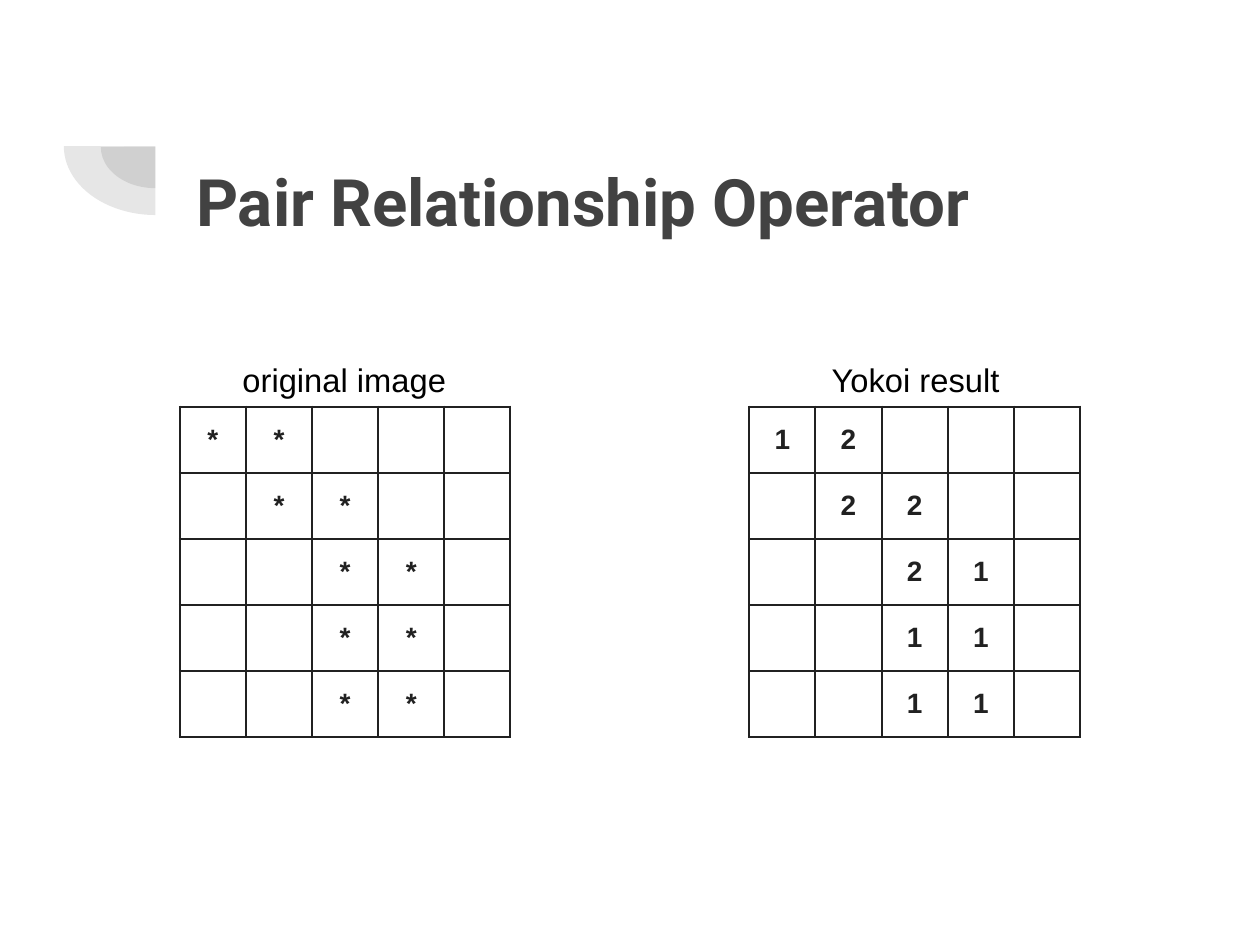
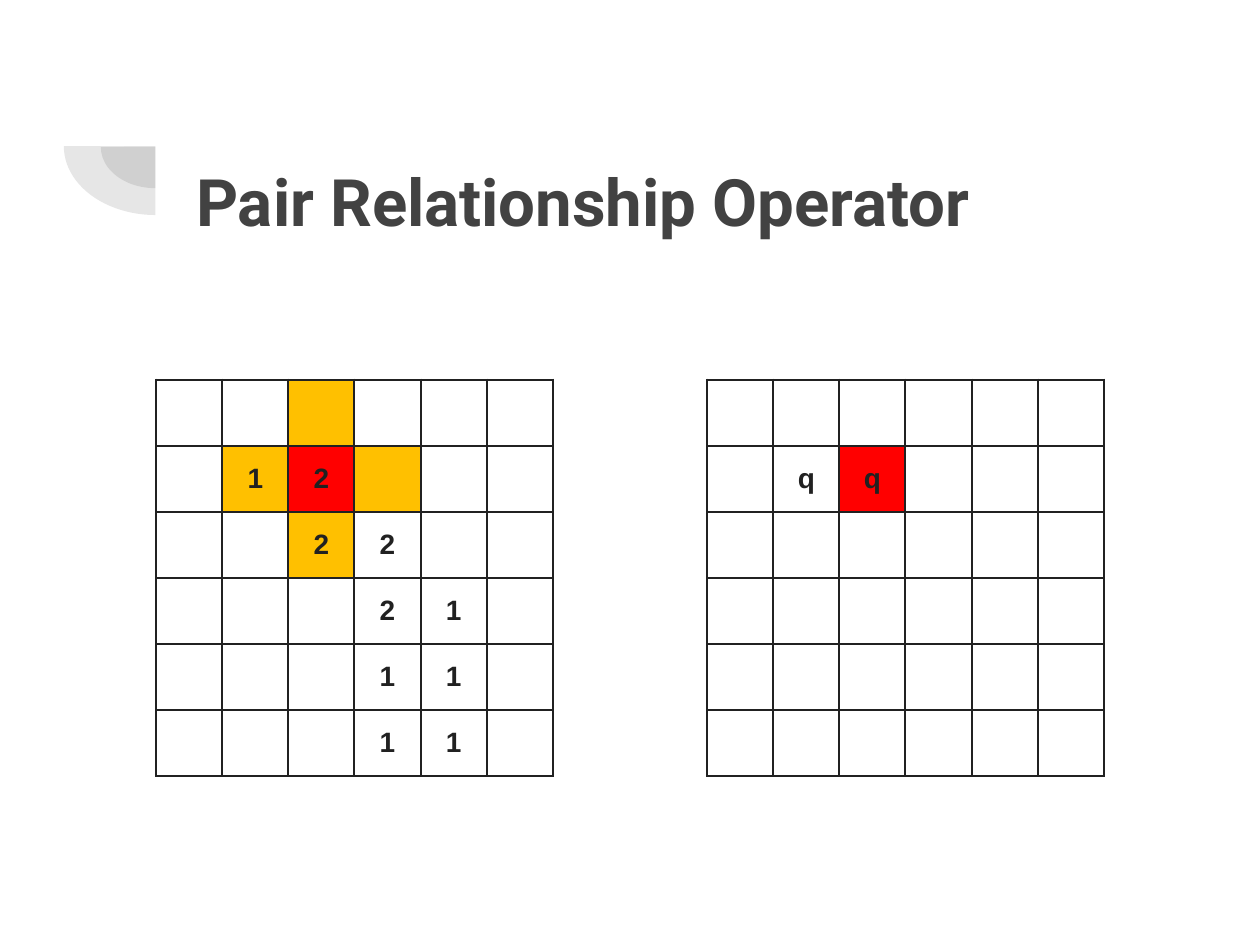
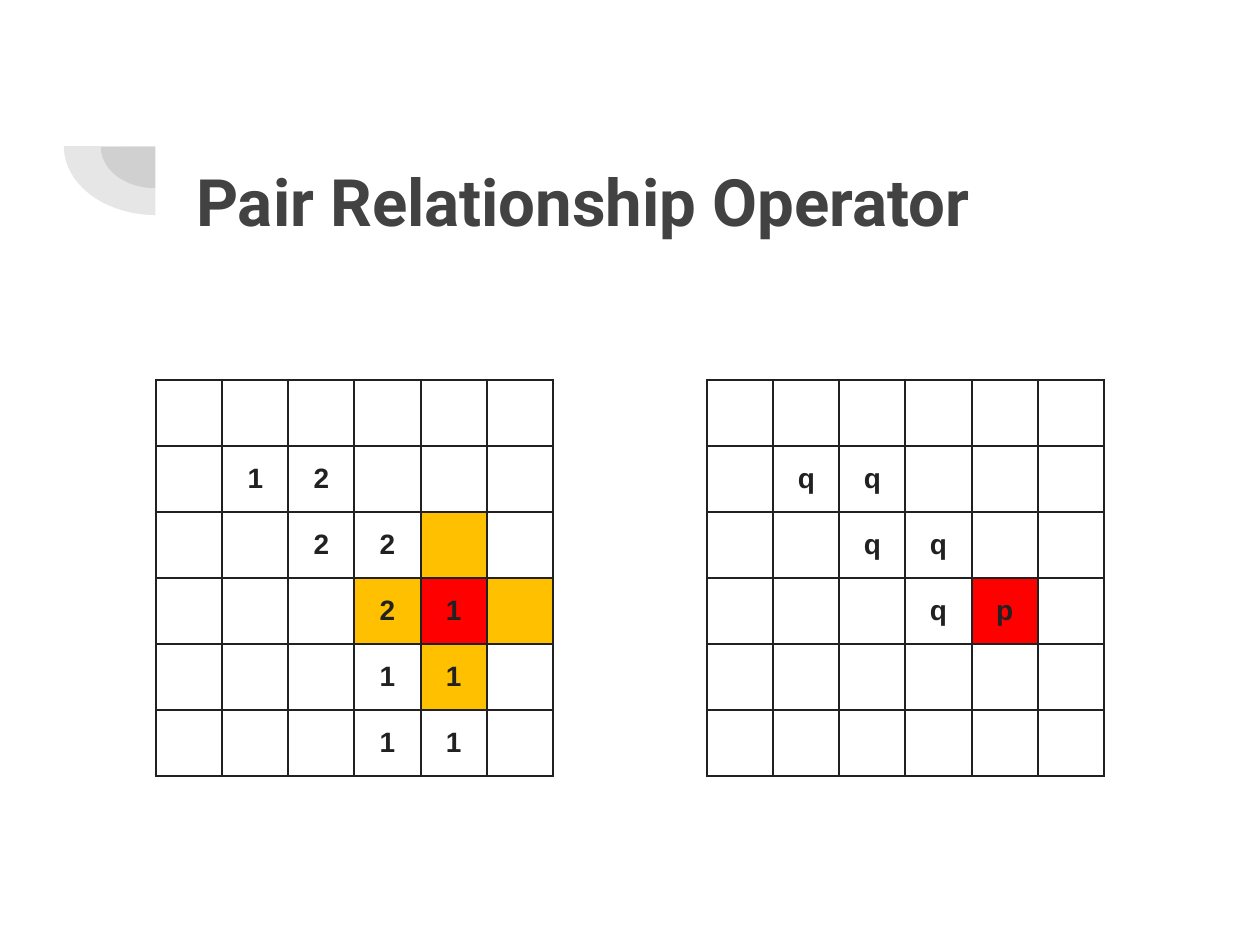
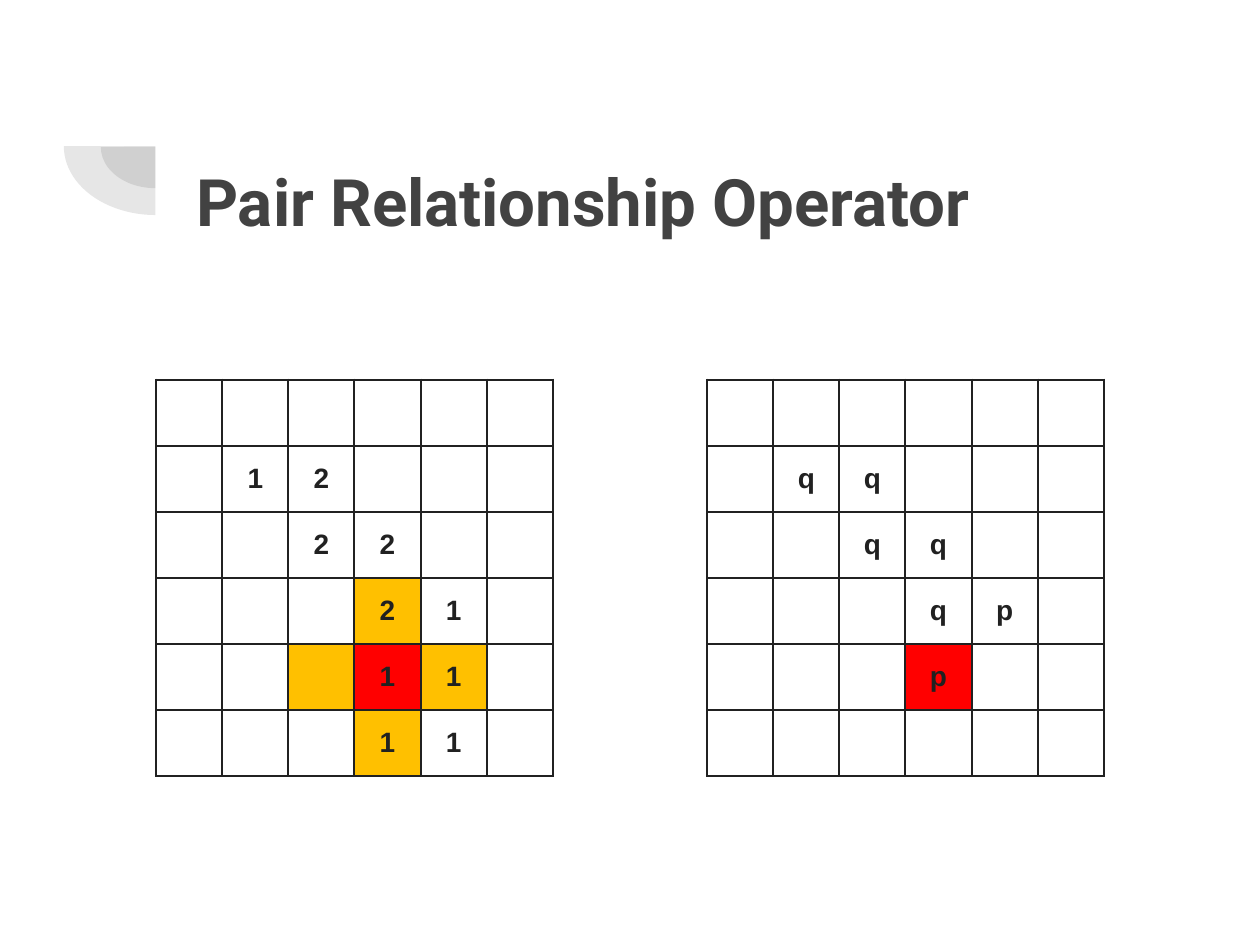
from dataclasses import dataclass

from lxml.etree import SubElement
from pptx import Presentation
from pptx.dml.color import RGBColor
from pptx.enum.shapes import MSO_SHAPE
from pptx.enum.text import MSO_ANCHOR, PP_ALIGN
from pptx.oxml import parse_xml
from pptx.oxml.ns import nsdecls, qn
from pptx.util import Inches, Pt

COLORS = {
    "title": "424242",
    "ink": "212121",
    "caption": "000000",
    "paper": "FFFFFF",
    "neighbor": "FFC000",
    "focus": "FF0000",
}
SLIDE_WIDTH = 7.5
SLIDE_HEIGHT = SLIDE_WIDTH * 3 / 4
TITLE = "Pair Relationship Operator"
ORIGINAL = ("**   ", " **  ", "  ** ", "  ** ", "  ** ")
YOKOI = ("12   ", " 22  ", "  21 ", "  11 ", "  11 ")
PAIRS = ("qq   ", " qq  ", "  qp ", "  p  ", "     ")
SCAN_STEPS = ((1, 2), (3, 4), (4, 3))


@dataclass(frozen=True)
class Box:
    left: float
    top: float
    width: float
    height: float

    def lengths(self) -> tuple:
        return tuple(Inches(v) for v in (self.left, self.top, self.width, self.height))


@dataclass(frozen=True)
class Grid:
    left: float
    top: float
    side: float
    rows: tuple
    focus: tuple | None = None
    neighbors: bool = False

    def color_at(self, row: int, col: int) -> str:
        if self.focus is None:
            return "paper"
        distance = abs(row - self.focus[0]) + abs(col - self.focus[1])
        if distance == 0:
            return "focus"
        return "neighbor" if self.neighbors and distance == 1 else "paper"


@dataclass(frozen=True)
class Caption:
    text: str
    box: Box


QUARTERS = (Box(0.6, 0.63, 0.65, 0.49), Box(0.38, 0.46, 1.09, 0.82))
TITLE_BOX = Box(1.07, 0.65, 5.77, 1.09)
CAPTIONS = (
    Caption("original image", Box(1.24, 2.09, 1.62, 0.34)),
    Caption("Yokoi result", Box(4.64, 2.09, 1.62, 0.34)),
)


def write(frame, text: str, *, size: float, color: str, font: str = "Arial",
          bold: bool = False, align=PP_ALIGN.CENTER) -> None:
    paragraph = frame.paragraphs[0]
    paragraph.alignment = align
    run = paragraph.add_run()
    run.text = text
    run.font.size = Pt(size)
    run.font.name = font
    run.font.bold = bold
    run.font.color.rgb = RGBColor.from_string(COLORS[color])


def add_text(slide, box: Box, text: str, *, anchor=MSO_ANCHOR.TOP,
             inset: float = 0.05, **style) -> None:
    frame = slide.shapes.add_textbox(*box.lengths()).text_frame
    frame.word_wrap = True
    frame.vertical_anchor = anchor
    frame.margin_left = frame.margin_right = Inches(0.1)
    frame.margin_top = frame.margin_bottom = Inches(inset)
    write(frame, text, **style)


def add_quarter(slide, box: Box) -> None:
    quarter = slide.shapes.add_shape(MSO_SHAPE.PIE, *box.lengths())
    quarter.adjustments[0] = 54
    quarter.adjustments[1] = 108
    quarter.shadow.inherit = False
    quarter.line.fill.background()
    quarter.fill.solid()
    quarter.fill.fore_color.rgb = RGBColor.from_string(COLORS["title"])
    tint = next(quarter.fill._xPr.iter(qn("a:srgbClr")))
    SubElement(tint, qn("a:alpha"), val="13000")


def add_borders(cell) -> None:
    properties = cell._tc.get_or_add_tcPr()
    for index, side in enumerate(("lnL", "lnR", "lnT", "lnB")):
        properties.insert(index, parse_xml(
            f'<a:{side} {nsdecls("a")} w="{Pt(1)}"><a:solidFill>'
            f'<a:srgbClr val="{COLORS["ink"]}"/></a:solidFill></a:{side}>'))


def add_grid(slide, grid: Grid) -> None:
    count = len(grid.rows)
    box = Box(grid.left, grid.top, grid.side, grid.side)
    table = slide.shapes.add_table(count, count, *box.lengths()).table
    table.first_row = table.horz_banding = False
    for column in table.columns:
        column.width = Inches(grid.side / count)
    for line in table.rows:
        line.height = Inches(grid.side / count)
    for row, symbols in enumerate(grid.rows):
        for col, symbol in enumerate(symbols):
            cell = table.cell(row, col)
            cell.margin_left = cell.margin_right = 0
            cell.margin_top = cell.margin_bottom = 0
            cell.vertical_anchor = MSO_ANCHOR.MIDDLE
            cell.fill.solid()
            cell.fill.fore_color.rgb = RGBColor.from_string(
                COLORS[grid.color_at(row, col)])
            add_borders(cell)
            if symbol.strip():
                write(cell.text_frame, symbol, size=12, color="ink", bold=True)


def padded(rows: tuple) -> tuple:
    return (" " * (len(rows) + 1), *(" " + row for row in rows))


def scanned(rows: tuple, last: tuple) -> tuple:
    return tuple(
        "".join(symbol if (r, c) <= last else " " for c, symbol in enumerate(row))
        for r, row in enumerate(rows))


def add_page(deck, grids: tuple, captions: tuple = ()) -> None:
    slide = deck.slides.add_slide(deck.slide_layouts[6])
    for box in QUARTERS:
        add_quarter(slide, box)
    add_text(slide, TITLE_BOX, TITLE, anchor=MSO_ANCHOR.MIDDLE, inset=0.1,
             size=28, color="title", font="Roboto", bold=True, align=PP_ALIGN.LEFT)
    for grid in grids:
        add_grid(slide, grid)
    for caption in captions:
        add_text(slide, caption.box, caption.text, size=14, color="caption")


def main() -> None:
    deck = Presentation()
    deck.slide_width = Inches(SLIDE_WIDTH)
    deck.slide_height = Inches(SLIDE_HEIGHT)
    add_page(deck, (Grid(1.07, 2.42, 1.97, ORIGINAL),
                    Grid(4.46, 2.42, 1.97, YOKOI)), CAPTIONS)
    for step in SCAN_STEPS:
        add_page(deck, (
            Grid(0.93, 2.26, 2.36, padded(YOKOI), step, neighbors=True),
            Grid(4.21, 2.26, 2.36, scanned(padded(PAIRS), step), step)))
    deck.save("out.pptx")


if __name__ == "__main__":
    main()
